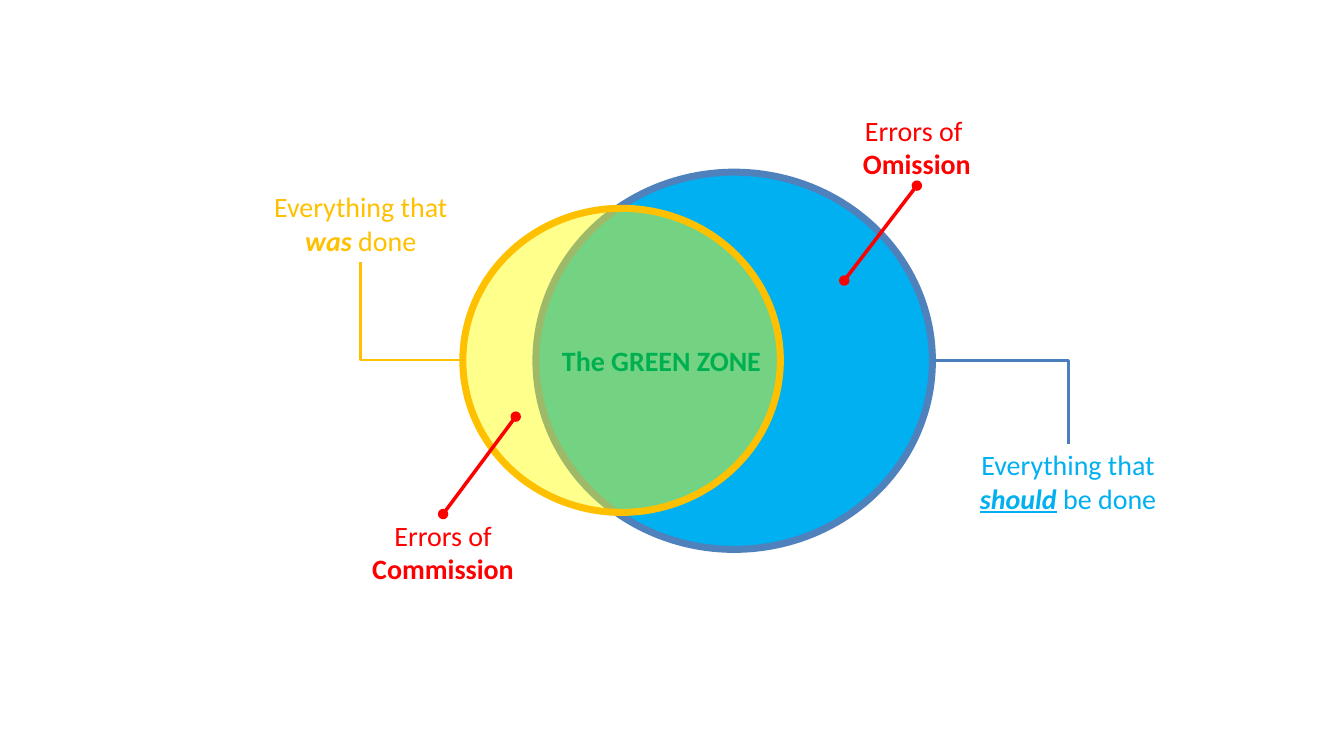
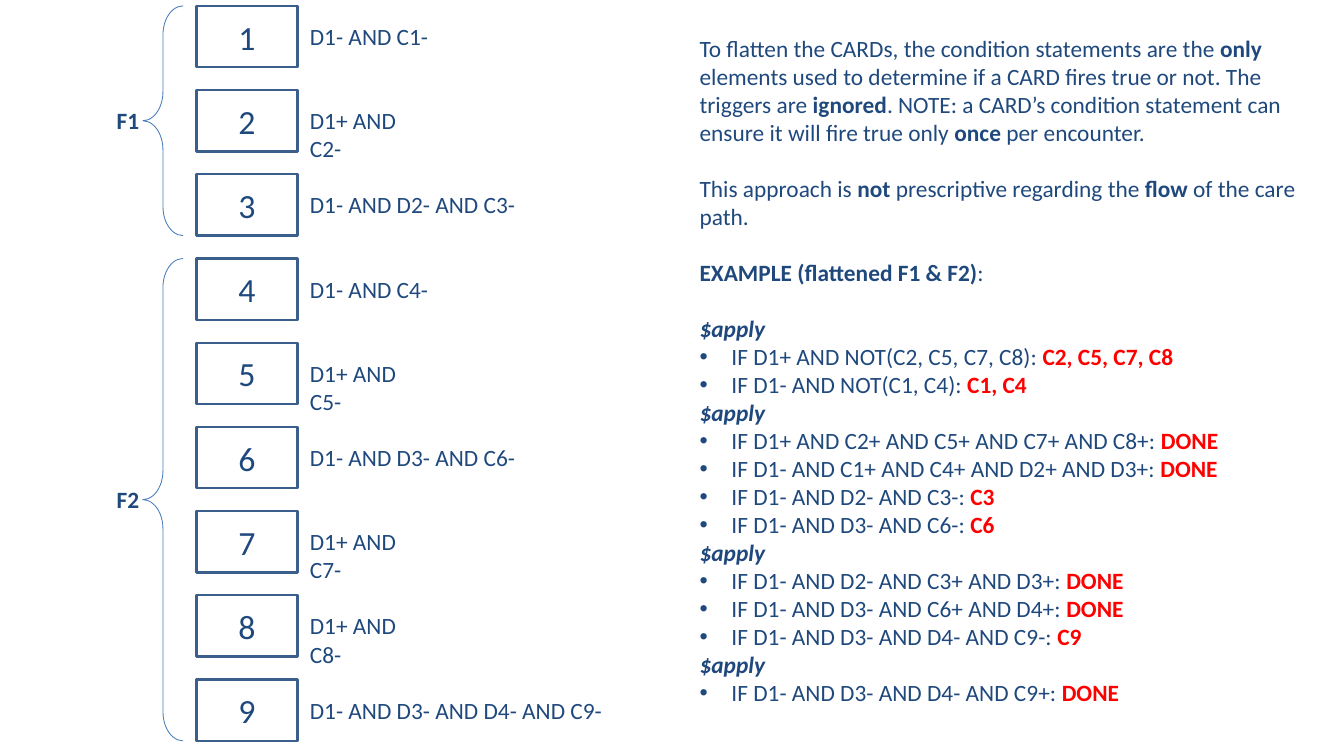
from lxml import etree
from pptx import Presentation
from pptx.dml.color import RGBColor
from pptx.enum.shapes import MSO_CONNECTOR, MSO_SHAPE
from pptx.enum.text import MSO_ANCHOR, MSO_AUTO_SIZE, PP_ALIGN
from pptx.oxml.ns import qn
from pptx.util import Inches, Pt

OVAL, BRACE = MSO_SHAPE.OVAL, MSO_SHAPE.LEFT_BRACE
PROCESS = MSO_SHAPE.FLOWCHART_PROCESS
STRAIGHT, ELBOW = MSO_CONNECTOR.STRAIGHT, MSO_CONNECTOR.ELBOW
LEFT, CENTER = PP_ALIGN.LEFT, PP_ALIGN.CENTER
MIDDLE, GROW = MSO_ANCHOR.MIDDLE, MSO_AUTO_SIZE.SHAPE_TO_FIT_TEXT
TOP_SIDE, BOTTOM_SIDE = 0, 2

# Grid: 16 columns by 9 rows, one inch each
COLUMNS, ROWS = 16, 9
FONT = "Calibri"
NAVY, RED, SKY, AMBER = "1F497D", "FF0000", "00B0F0", "FFC000"
GREEN, YELLOW, WHITE = "00B050", "FFFF00", "FFFFFF"
STEEL, OUTLINE, BOX_EDGE = "4B7EBC", "4F81BD", "3A5F8C"


def color(hex_text):
    return RGBColor.from_string(hex_text)


def add_node(parent, tag, **attributes):
    return etree.SubElement(parent, qn(tag), attributes)


class Sketch:
    """Holds the deck, its style and the current slide."""

    def __init__(self):
        self.deck = Presentation()
        self.deck.slide_width = Inches(COLUMNS)
        self.deck.slide_height = Inches(ROWS)

    def new_page(self):
        self.page = self.deck.slides.add_slide(self.deck.slide_layouts[6])

    def shape(self, kind, place, fill, edge, width, alpha=None):
        shape = self.page.shapes.add_shape(kind, *map(Inches, place))
        shape.shadow.inherit = False
        if fill:
            shape.fill.solid()
            shape.fill.fore_color.rgb = color(fill)
        else:
            shape.fill.background()
        if alpha:
            tint = shape._element.spPr.find(".//" + qn("a:srgbClr"))
            add_node(tint, "a:alpha", val=str(alpha * 1000))
        shape.line.color.rgb = color(edge)
        shape.line.width = Pt(width)
        return shape

    def add_spans(self, para, spans, size, ink, align=LEFT):
        """Each span is (text, marks): b bold, i italic, u underline, r red."""
        para.alignment = align
        for text, marks in spans:
            span = para.add_run()
            span.text = text
            font = span.font
            font.name, font.size = FONT, Pt(size)
            font.bold, font.italic = "b" in marks, "i" in marks
            font.underline = "u" in marks
            font.color.rgb = color(RED if "r" in marks else ink)

    def text(self, place, paras, size=20, ink=NAVY, align=LEFT, wrap=True):
        box = self.page.shapes.add_textbox(*map(Inches, place))
        frame = box.text_frame
        frame.word_wrap, frame.auto_size = wrap, GROW
        for index, spans in enumerate(paras):
            para = frame.add_paragraph() if index else frame.paragraphs[0]
            self.add_spans(para, spans, size, ink, align)
        return box

    def connector(self, kind, start, end, ink, width):
        line = self.page.shapes.add_connector(
            kind, *map(Inches, start + end))
        line.line.color.rgb = color(ink)
        line.line.width = Pt(width)
        add_node(line._element.spPr, "a:effectLst")
        return line

    def corner(self, start, end, ink):
        """One bend: across first, then up or down."""
        line = self.connector(ELBOW, start, end, ink, 2)
        line._element.spPr.find(qn("a:prstGeom")).set("prst", "bentConnector2")

    def pointer(self, label, side, start, end):
        """Red line with round ends, from a label's side to a spot."""
        line = self.connector(STRAIGHT, start, end, RED, 3)
        line.begin_connect(label, side)
        stroke = line._element.spPr.find(qn("a:ln"))
        for tag in ("a:headEnd", "a:tailEnd"):
            add_node(stroke, tag, type="oval")

    def bullet(self, para, indent=0.38):
        settings = para._p.get_or_add_pPr()
        settings.set("marL", str(Inches(indent)))
        settings.set("indent", str(-Inches(indent)))
        add_node(settings, "a:buFont", typeface="Arial")
        add_node(settings, "a:buChar", char="•")


def draw_zones(sketch):
    sketch.new_page()

    # Overlapping circles
    sketch.shape(OVAL, (6.38, 2.05, 4.72, 4.49), SKY, OUTLINE, 6)
    sketch.shape(OVAL, (5.51, 2.48, 3.78, 3.62), YELLOW, AMBER, 6, alpha=45)

    # Labels of the circles
    axis = 4.29
    sketch.corner((11.1, axis), (12.72, 5.28), STEEL)
    sketch.corner((5.51, axis), (4.29, 3.12), AMBER)

    def label(left, top, paras, ink, width=2.83, height=0.91):
        return sketch.text((left, top, width, height), paras, 24, ink, CENTER)

    label(11.1, 5.28, [[("Everything that ", ""), ("should", "biu"),
                        (" ", "b"), ("be done", "")]], SKY, 3.23)
    label(2.88, 2.21, [[("Everything that ", ""), ("was ", "bi"),
                        ("done", "")]], AMBER)
    label(6.46, 4.04, [[("The GREEN ZONE", "b")]], GREEN, height=0.5)

    # Errors and their pointers
    commission = label(3.86, 6.12, [[("Errors of ", ""),
                                     ("Commission", "b")]], RED)
    omission = label(9.5, 1.3, [[("Errors of ", "")],
                                [("Omission", "b")]], RED)
    sketch.pointer(commission, TOP_SIDE, (5.28, 6.12), (6.14, 4.96))
    sketch.pointer(omission, BOTTOM_SIDE, (10.91, 2.21), (10.05, 3.34))


CONDITIONS = [
    "D1- AND C1-", "D1+ AND C2-", "D1- AND D2- AND C3-",
    "D1- AND C4-", "D1+ AND C5-", "D1- AND D3- AND C6-",
    "D1+ AND C7-", "D1+ AND C8-", "D1- AND D3- AND D4- AND C9-",
]
CONDITION_WIDTHS = {11: 1.65, 19: 2.66, 27: 3.7}  # by number of letters
GROUPS = [("F1", 0, 2), ("F2", 3, 8)]  # name, first card, last card

INTRO = [
    [("To flatten the CARDs, the condition statements are the ", ""),
     ("only", "b"),
     (" elements used to determine if a CARD fires true or not. "
      "The triggers are ", ""),
     ("ignored", "b"),
     (". NOTE: a CARD’s condition statement can ensure it will fire "
      "true only ", ""),
     ("once ", "b"), ("per encounter.", "")],
    [("This approach is ", ""), ("not", "b"),
     (" prescriptive regarding the ", ""), ("flow", "b"),
     (" of the care path.", "")],
    [("EXAMPLE (flattened F1 & F2)", "b"), (":", "")],
]
# Each round of $apply lists rules as (condition, outcome)
ROUNDS = [
    [("IF D1+ AND NOT(C2, C5, C7, C8): ", "C2, C5, C7, C8"),
     ("IF D1- AND NOT(C1, C4): ", "C1, C4")],
    [("IF D1+ AND C2+ AND C5+ AND C7+ AND C8+: ", "DONE"),
     ("IF D1- AND C1+ AND C4+ AND D2+ AND D3+: ", "DONE"),
     ("IF D1- AND D2- AND C3-: ", "C3"),
     ("IF D1- AND D3- AND C6-: ", "C6")],
    [("IF D1- AND D2- AND C3+ AND D3+: ", "DONE"),
     ("IF D1- AND D3- AND C6+ AND D4+: ", "DONE"),
     ("IF D1- AND D3- AND D4- AND C9-: ", "C9")],
    [("IF D1- AND D3- AND D4- AND C9+: ", "DONE")],
]


def draw_cards(sketch):
    sketch.new_page()
    card_height, text_height = 0.73, 0.44
    first_top, last_top = 0.07, 8.09
    step = (last_top - first_top) / (len(CONDITIONS) - 1)
    drop = (card_height - text_height) / 2

    # Numbered cards with their conditions
    for index, condition in enumerate(CONDITIONS):
        top = first_top + index * step
        card = sketch.shape(PROCESS, (2.34, top, 1.2, card_height),
                            WHITE, BOX_EDGE, 2)
        card.text_frame.vertical_anchor = MIDDLE
        sketch.add_spans(card.text_frame.paragraphs[0],
                         [(str(index + 1), "")], 29, NAVY, CENTER)
        width = CONDITION_WIDTHS[len(condition)]
        sketch.text((3.59, top + drop, width, text_height),
                    [[(condition, "")]], wrap=False)

    # Braces around each group
    for name, first, last in GROUPS:
        top = first_top + first * step
        height = (last - first) * step + card_height
        brace = sketch.shape(BRACE, (1.7, top, 0.48, height),
                             None, STEEL, 0.75)
        brace.adjustments[0] = 0.72
        sketch.text((1.29, top + (height - text_height) / 2, 0.47,
                     text_height), [[(name, "b")]], wrap=False)

    # Explanation and example
    paras, bullets = list(INTRO), []
    for rules in ROUNDS:
        paras.append([("$apply", "bi")])
        for condition, outcome in rules:
            bullets.append(len(paras))
            paras.append([(condition, ""), (outcome, "br")])
    box = sketch.text((8.23, 0.36, 7.54, 8.52), paras)
    lines = box.text_frame.paragraphs
    for para in lines[1:len(INTRO) + 1]:
        para.space_before = Pt(24)
    for index in bullets:
        sketch.bullet(lines[index])


def main():
    sketch = Sketch()
    draw_zones(sketch)
    draw_cards(sketch)
    sketch.deck.save("out.pptx")


if __name__ == "__main__":
    main()
